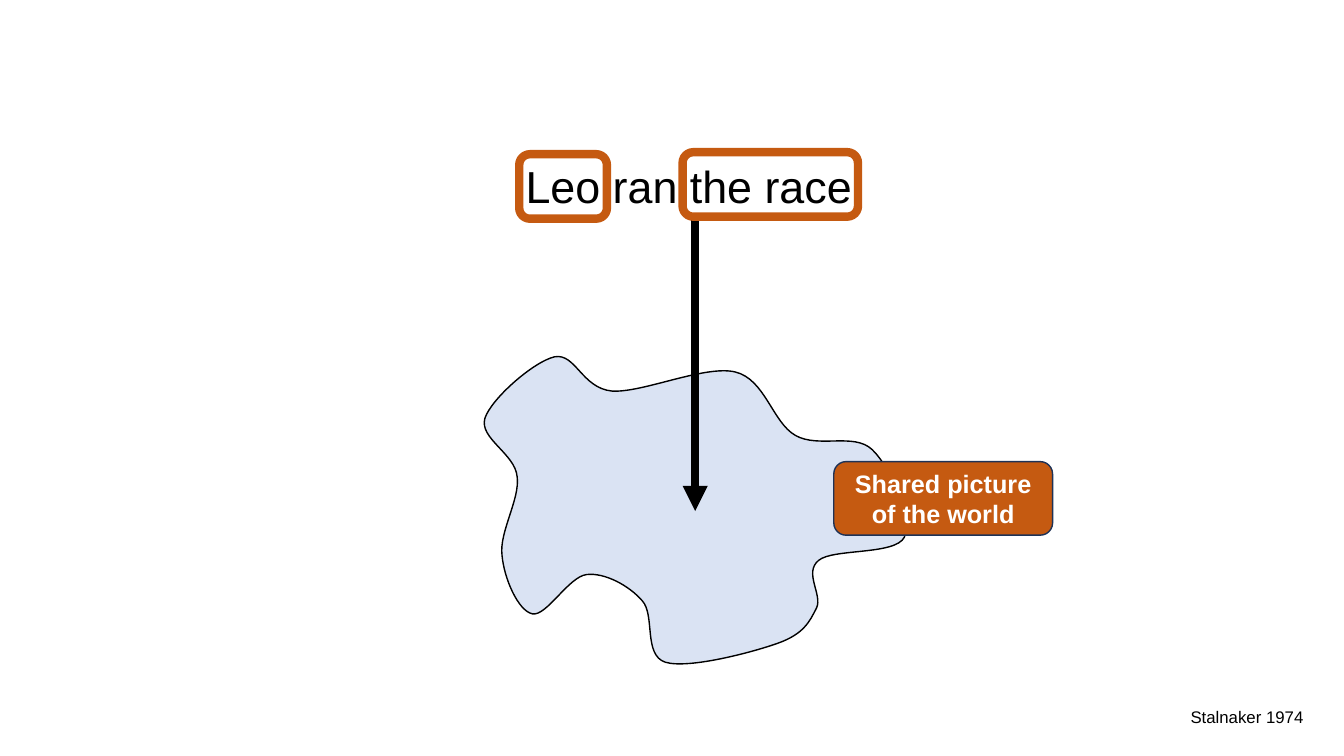
"""Build a slide linking a sentence to a shared picture of the world."""
from lxml import etree
from pptx import Presentation
from pptx.dml.color import RGBColor
from pptx.enum import shapes, text
from pptx.oxml.ns import qn
from pptx.util import Inches, Pt

COLORS = {"ink": "000000", "blob": "DAE3F3", "accent": "C55A11",
          "edge": "1E3256", "white": "FFFFFF"}
SENTENCE = ("Leo ran the race.", (5.11, 1.53, 3.57, 0.64))
LABEL = ("Shared picture of the world", (8.27, 4.58, 2.17, 0.73))
CITATION = ("Stalnaker 1974", (11.71, 6.96, 1.44, 0.3))
WORD_FRAMES = [(5.15, 1.53, 0.87, 0.64), (6.77, 1.51, 1.74, 0.64)]
ARROW_END = 5.07
BLOB_START = (6.07, 3.88)
BLOB_CURVES = [
    ((6.37, 3.9), (6.99, 3.62), (7.29, 3.69)),
    ((7.59, 3.76), (7.66, 4.19), (7.89, 4.32)),
    ((8.12, 4.45), (8.47, 4.29), (8.65, 4.46)),
    ((8.83, 4.63), (9.06, 5.14), (8.97, 5.33)),
    ((8.88, 5.51), (8.26, 5.44), (8.12, 5.56)),
    ((7.97, 5.68), (8.16, 5.9), (8.1, 6.03)),
    ((8.03, 6.17), (7.97, 6.29), (7.72, 6.38)),
    ((7.47, 6.47), (6.83, 6.64), (6.6, 6.57)),
    ((6.38, 6.5), (6.5, 6.1), (6.37, 5.96)),
    ((6.24, 5.81), (6, 5.68), (5.82, 5.7)),
    ((5.64, 5.72), (5.42, 6.12), (5.28, 6.09)),
    ((5.14, 6.06), (5, 5.74), (4.98, 5.51)),
    ((4.95, 5.28), (5.16, 4.95), (5.13, 4.73)),
    ((5.11, 4.5), (4.75, 4.35), (4.81, 4.15)),
    ((4.87, 3.96), (5.29, 3.59), (5.5, 3.54)),
    ((5.71, 3.5), (5.77, 3.85), BLOB_START),
]


def rgb(name):
    return RGBColor.from_string(COLORS[name])


def write(sp, words, size, color="ink", bold=False, wrap=True,
          align=text.PP_ALIGN.LEFT, anchor=text.MSO_ANCHOR.TOP):
    tf = sp.text_frame
    tf.word_wrap = wrap
    tf.vertical_anchor = anchor
    p = tf.paragraphs[0]
    p.alignment = align
    r = p.add_run()
    r.text = words
    r.font.name, r.font.size, r.font.bold = "Arial", Pt(size), bold
    r.font.color.rgb = rgb(color)


def paint(sp, line, width, fill=None):
    sp.shadow.inherit = False
    if fill:
        sp.fill.solid()
        sp.fill.fore_color.rgb = rgb(fill)
    else:
        sp.fill.background()
    sp.line.color.rgb = rgb(line)
    sp.line.width = Pt(width)


def add_rounded(slide, box, **look):
    sp = slide.shapes.add_shape(shapes.MSO_SHAPE.ROUNDED_RECTANGLE, *map(Inches, box))
    paint(sp, **look)
    return sp


def add_text(slide, words, box, size, **look):
    sp = slide.shapes.add_textbox(*map(Inches, box))
    write(sp, words, size, **look)
    return sp


def add_blob(slide):
    builder = slide.shapes.build_freeform(*map(Inches, BLOB_START))
    ends = [tuple(map(Inches, curve[-1])) for curve in BLOB_CURVES]
    builder.add_line_segments(ends, close=True)
    sp = builder.convert_to_shape()
    segments = list(sp._element.iter(qn("a:lnTo")))
    for segment, curve in zip(segments, BLOB_CURVES):
        bezier = etree.Element(qn("a:cubicBezTo"))
        for x, y in curve:
            etree.SubElement(bezier, qn("a:pt"), x=str(Inches(x) - sp.left),
                             y=str(Inches(y) - sp.top))
        segment.getparent().replace(segment, bezier)
    paint(sp, line="ink", width=1, fill="blob")


def add_arrow(slide, source):
    x = source.left + source.width // 2
    cx = slide.shapes.add_connector(shapes.MSO_CONNECTOR.STRAIGHT, x,
                                    source.top + source.height, x, Inches(ARROW_END))
    cx.begin_connect(source, 2)
    cx.line.color.rgb = rgb("ink")
    cx.line.width = Pt(6)
    etree.SubElement(cx.line._get_or_add_ln(), qn("a:tailEnd"), type="triangle")
    etree.SubElement(cx._element.spPr, qn("a:effectLst"))


def main():
    prs = Presentation()
    prs.slide_width, prs.slide_height = Inches(13.33), Inches(7.5)
    slide = prs.slides.add_slide(prs.slide_layouts[6])
    centered = text.PP_ALIGN.CENTER
    sentence = add_text(slide, *SENTENCE, 32, align=centered, wrap=False)
    add_blob(slide)
    words, box = LABEL
    label = add_rounded(slide, box, line="edge", width=1, fill="accent")
    write(label, words, 18, color="white", bold=True, align=centered,
          anchor=text.MSO_ANCHOR.MIDDLE)
    add_arrow(slide, sentence)
    for box in WORD_FRAMES:
        add_rounded(slide, box, line="accent", width=6)
    add_text(slide, *CITATION, 12)
    prs.save("out.pptx")


if __name__ == "__main__":
    main()
